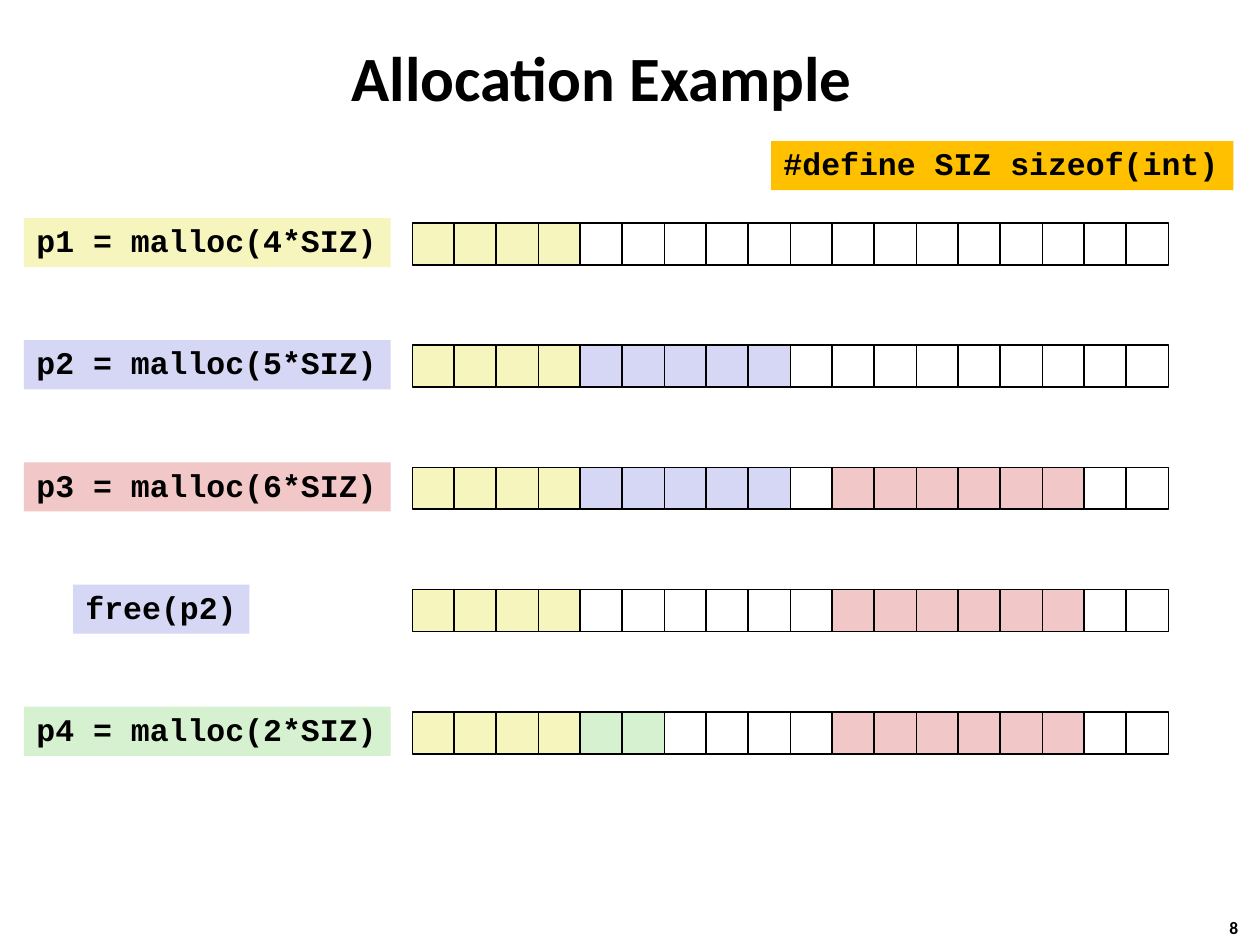
from pptx import Presentation
from pptx.dml.color import RGBColor as RGB
from pptx.enum.shapes import MSO_SHAPE as Shape
from pptx.enum.text import MSO_ANCHOR as Anchor, MSO_AUTO_SIZE as AutoSize, PP_ALIGN as Align
from pptx.util import Inches, Pt

W, H = Inches(10), Inches(7.5)
CELL = W // 30
PITCH = H * 12.93 / 100
COLORS = {
    "black": "000000",
    "free": "FFFFFF",
    "p1": "F6F5BD",
    "p2": "D6D6F5",
    "p3": "F1C7C7",
    "p4": "D5F1CF",
    "define": "FFC000",
}
P1, P2, P3, P4 = ["p1"] * 4, ["p2"] * 5, ["p3"] * 6, ["p4"] * 2
FREE = ["free"]
PADDING = [None]
STEPS = [
    ("p1 = malloc(4*SIZ)", "p1", P1 + FREE * 14),
    ("p2 = malloc(5*SIZ)", "p2", P1 + P2 + FREE * 9),
    ("p3 = malloc(6*SIZ)", "p3", P1 + P2 + PADDING + P3 + FREE * 2),
    ("free(p2)", "p2", P1 + FREE * 5 + PADDING + P3 + FREE * 2),
    ("p4 = malloc(2*SIZ)", "p4", P1 + P4 + FREE * 3 + PADDING + P3 + FREE * 2),
]


def color(name):
    return RGB.from_string(COLORS[name])


def share(left, top, width, height):
    return [int(v * side / 100) for v, side in zip((left, top, width, height), (W, H, W, H))]


def write(sp, text, size, font, align=Align.LEFT, anchor=Anchor.TOP, wrap=False):
    tf = sp.text_frame
    tf.word_wrap = wrap
    tf.vertical_anchor = anchor
    tf.auto_size = AutoSize.NONE if wrap else AutoSize.SHAPE_TO_FIT_TEXT
    p = tf.paragraphs[0]
    p.text = text
    p.alignment = align
    p.font.size = Pt(size)
    p.font.name = font
    p.font.bold = True
    p.font.color.rgb = color("black")
    return p


def add_rect(shapes, box, fill):
    sp = shapes.add_shape(Shape.RECTANGLE, *box)
    sp.shadow.inherit = False
    if fill:
        sp.fill.solid()
        sp.fill.fore_color.rgb = color(fill)
    else:
        sp.fill.background()
    return sp


def add_code(s, text, box, fill):
    sp = add_rect(s.shapes, box, fill)
    sp.line.fill.background()
    write(sp, text, 18, "Courier New").line_spacing = 0.94


def add_memory(s, left, top, owners):
    group = s.shapes.add_group_shape()
    for col, owner in enumerate(owners):
        sp = add_rect(group.shapes, (left + col * CELL, top, CELL, CELL), owner)
        sp.line.color.rgb = color("black")
        sp.line.width = Pt(1)


def add_step(s, row, text, fill, owners):
    left, width = (5.8, 14) if text.startswith("free") else (1.9, 29.1)
    x, y, w, h = share(left, 23.07, width, 5.2)
    add_code(s, text, (x, y + int(row * PITCH), w, h), fill)
    x, y, _, _ = share(32.73, 23.6, 0, 0)
    add_memory(s, x, y + int(row * PITCH), owners)


def main():
    prs = Presentation()
    prs.slide_width, prs.slide_height = W, H
    s = prs.slides.add_slide(prs.slide_layouts[6])
    title = s.shapes.add_textbox(*share(12.4, 3.87, 70.7, 8.4))
    write(title, "Allocation Example", 36, "Calibri", Align.CENTER, Anchor.MIDDLE, True)
    add_code(s, "#define SIZ sizeof(int)", share(61.2, 14.93, 36.7, 5.2), "define")
    for row, step in enumerate(STEPS):
        add_step(s, row, *step)
    number = s.shapes.add_textbox(*share(96.6, 96.4, 3.7, 3.6))
    write(number, "8", 10, "Calibri")
    prs.save("out.pptx")


if __name__ == "__main__":
    main()
